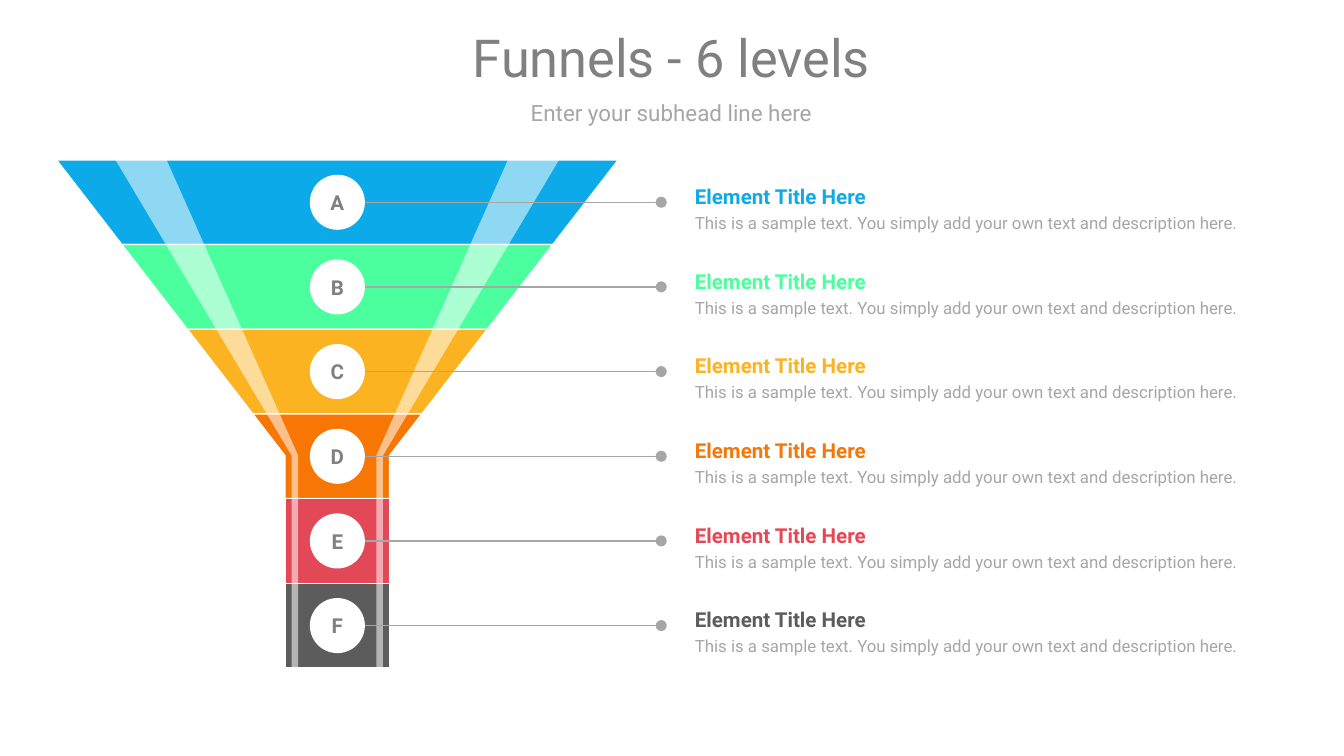
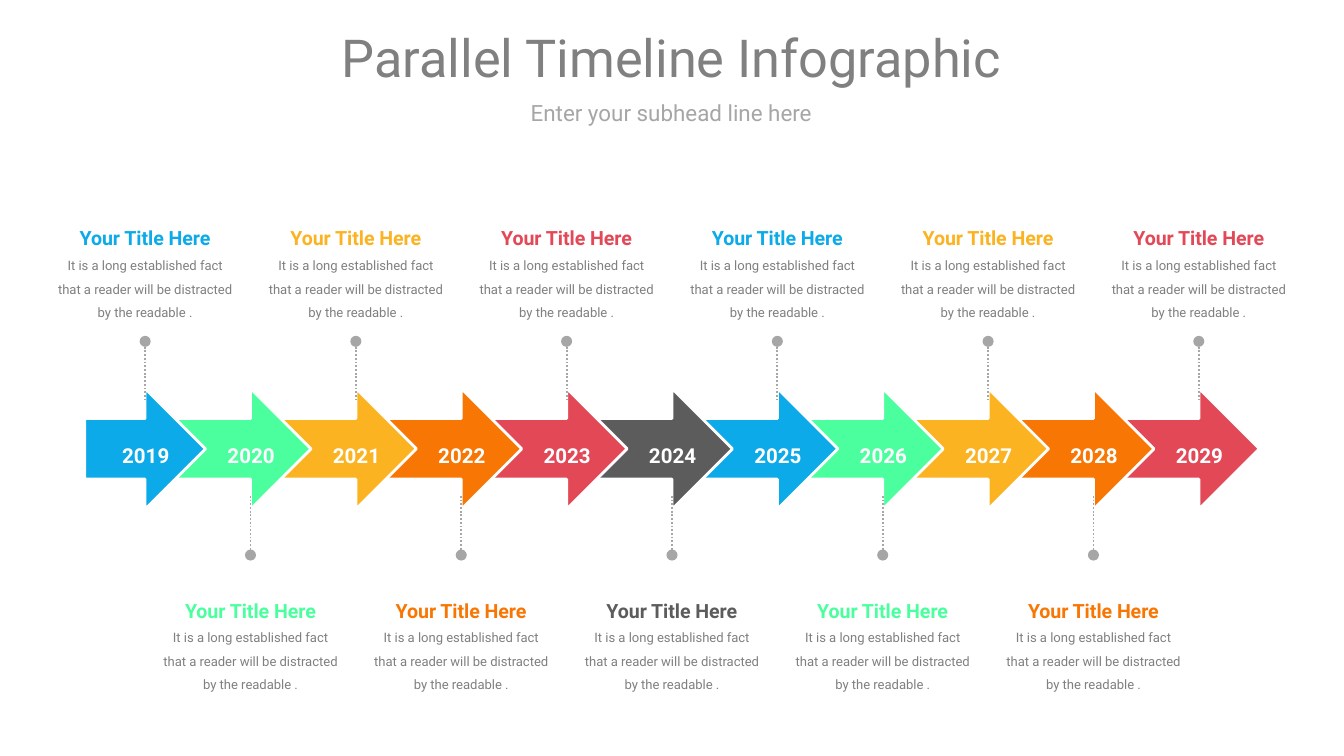
from dataclasses import dataclass
from itertools import cycle, islice
from typing import Any, Optional

from lxml.etree import SubElement
from pptx import Presentation
from pptx.dml.color import RGBColor
from pptx.enum.dml import MSO_LINE
from pptx.enum.shapes import MSO_CONNECTOR as CONN, MSO_SHAPE as SHAPE
from pptx.enum.text import MSO_ANCHOR as ANCHOR, MSO_AUTO_SIZE as FIT, PP_ALIGN as ALIGN
from pptx.oxml.ns import qn
from pptx.util import Inches, Pt

PALETTE = ["0CAAE9", "4BFF9E", "FBB321", "F87604", "E34857", "5C5C5C"]
WHITE, GRAY, LIGHT = "FFFFFF", "808080", "A6A6A6"
FONT = "Roboto"
SLIDE_W = Inches(10)
SLIDE_H = SLIDE_W * 9 // 16

FUNNEL_X, FUNNEL_TOP, NECK_Y, LEVEL_H = 2.51, 1.19, 3.39, 0.63
MOUTH_HALF, NECK_HALF = 2.09, 0.39
CIRCLE, DOT_X = 0.41, 4.92

FIRST_X, LAST_X, FIRST_YEAR, YEARS = 1.08, 8.92, 2019, 11
PITCH = (LAST_X - FIRST_X) / (YEARS - 1)


@dataclass(frozen=True)
class Line:
    """One paragraph with its format."""
    text: str
    size: float
    color: str
    bold: bool = False
    spacing: float = 1.0
    align: Any = ALIGN.CENTER


@dataclass(frozen=True)
class Box:
    """A rectangle in inches."""
    x: float
    y: float
    w: float
    h: float

    def emu(self) -> list[int]:
        """Return left, top, width and height as lengths."""
        return [Inches(v) for v in (self.x, self.y, self.w, self.h)]


@dataclass(frozen=True)
class Branch:
    """Vertical places of the callouts on one side of the timeline."""
    start_y: float
    dot_y: float
    text_y: float


ABOVE = Branch(2.98, 2.54, 1.59)
BELOW = Branch(3.69, 4.13, 4.36)


def rgb(color: str) -> RGBColor:
    """Turn a hex string into a colour."""
    return RGBColor.from_string(color)


def apply(target: Any, values: dict[str, Any]) -> None:
    """Set each named attribute on the target."""
    for name, value in values.items():
        setattr(target, name, value)


def write(sp: Any, lines: list[Line], fit: Any = FIT.NONE) -> None:
    """Fill a shape with formatted paragraphs."""
    tf = sp.text_frame
    apply(tf, dict(word_wrap=True, auto_size=fit, vertical_anchor=ANCHOR.MIDDLE,
                   margin_left=0, margin_top=0, margin_right=0, margin_bottom=0))
    for i, line in enumerate(lines):
        p = tf.add_paragraph() if i else tf.paragraphs[0]
        apply(p, dict(alignment=line.align, line_spacing=line.spacing))
        r = p.add_run()
        r.text = line.text
        apply(r.font, dict(name=FONT, size=Pt(line.size), bold=line.bold))
        r.font.color.rgb = rgb(line.color)


def add_text(s: Any, box: Box, lines: list[Line], fit: Any = FIT.SHAPE_TO_FIT_TEXT) -> None:
    """Add a text box."""
    write(s.shapes.add_textbox(*box.emu()), lines, fit)


def paint(sp: Any, fill: str, outline: float = 0) -> None:
    """Give a shape a flat fill and, when asked, a white outline in points."""
    sp.shadow.inherit = False
    sp.fill.solid()
    sp.fill.fore_color.rgb = rgb(fill)
    if outline:
        sp.line.color.rgb = rgb(WHITE)
        sp.line.width = Pt(outline)
    else:
        sp.line.fill.background()


def add_outline(s: Any, points: list[tuple[float, float]], fill: str, outline: float = 0) -> Any:
    """Add a closed polygon through points in inches."""
    first, *rest = [(Inches(x), Inches(y)) for x, y in points]
    fb = s.shapes.build_freeform(*first)
    fb.add_line_segments(rest, close=True)
    sp = fb.convert_to_shape()
    paint(sp, fill, outline)
    return sp


def add_lead(s: Any, start: tuple[float, float], end: tuple[float, float], width: float,
             dot: str, dash: Optional[Any] = None) -> None:
    """Add a leader line with an oval at its headEnd or tailEnd."""
    c = s.shapes.add_connector(CONN.STRAIGHT, *[Inches(v) for v in (*start, *end)])
    c.line.color.rgb = rgb(LIGHT)
    apply(c.line, dict(width=Pt(width), dash_style=dash))
    SubElement(c.line._get_or_add_ln(), qn(f"a:{dot}"), type="oval")
    SubElement(c._element.spPr, qn("a:effectLst"))


def add_slide(prs: Any, title: str) -> Any:
    """Add a blank slide with the shared heading."""
    s = prs.slides.add_slide(prs.slide_layouts[6])
    add_text(s, Box(0.42, 0.74, 9.15, 0.19),
             [Line("Enter your subhead line here", 12, LIGHT)], FIT.NONE)
    add_text(s, Box(0.42, 0.15, 9.15, 0.54), [Line(title, 28, GRAY)], FIT.NONE)
    return s


def half_width(y: float) -> float:
    """Return half the funnel width at a height."""
    share = max(0, (NECK_Y - y) / (NECK_Y - FUNNEL_TOP))
    return NECK_HALF + (MOUTH_HALF - NECK_HALF) * share


def add_level(s: Any, top: float, color: str) -> None:
    """Add one band of the funnel."""
    bottom = top + LEVEL_H
    ys = [top, NECK_Y, bottom] if top < NECK_Y < bottom else [top, bottom]
    right = [(FUNNEL_X + half_width(y), y) for y in ys]
    left = [(FUNNEL_X - half_width(y), y) for y in reversed(ys)]
    add_outline(s, right + left, color, 0.75)


def add_gloss(s: Any, side: int) -> None:
    """Add a translucent streak on the left (-1) or right (1) of the funnel."""
    base = FUNNEL_TOP + len(PALETTE) * LEVEL_H
    offsets = [(1.27, FUNNEL_TOP), (1.65, FUNNEL_TOP), (0.34, NECK_Y),
               (0.34, base), (0.29, base), (0.29, NECK_Y)]
    sp = add_outline(s, [(FUNNEL_X + side * dx, y) for dx, y in offsets], WHITE)
    color = sp._element.spPr.find(f"{qn('a:solidFill')}/{qn('a:srgbClr')}")
    SubElement(color, qn("a:alpha"), val="54000")


def funnel_slide(prs: Any) -> None:
    """Build the six-level funnel."""
    s = add_slide(prs, "Funnels - 6 levels")
    tops = [FUNNEL_TOP + i * LEVEL_H for i in range(len(PALETTE))]
    for top, color in zip(tops, PALETTE):
        add_level(s, top, color)
    for side in (1, -1):
        add_gloss(s, side)
    for top, color, letter in zip(tops, PALETTE, "ABCDEF"):
        mid = top + LEVEL_H / 2
        circle = Box(FUNNEL_X - CIRCLE / 2, mid - CIRCLE / 2, CIRCLE, CIRCLE)
        sp = s.shapes.add_shape(SHAPE.OVAL, *circle.emu())
        paint(sp, WHITE)
        write(sp, [Line(letter, 11, GRAY, True)])
        add_text(s, Box(5.17, mid - 0.23, 4.41, 0.46), [
            Line("Element Title Here", 11, color, True, 1.5, ALIGN.LEFT),
            Line("This is a sample text. You simply add your own text and description here.",
                 9, LIGHT, False, 1.2, ALIGN.LEFT)])
        add_lead(s, (DOT_X, mid), (circle.x + CIRCLE, mid), 0.75, "headEnd")


def timeline_slide(prs: Any) -> None:
    """Build the arrow timeline with callouts above and below."""
    s = add_slide(prs, "Parallel Timeline Infographic")
    stops = [(FIRST_X + i * PITCH, i, color)
             for i, color in enumerate(islice(cycle(PALETTE), YEARS))]
    for x, i, color in reversed(stops):
        tail = 0.67 if i else 0.45
        arrow = Box(x - tail, 2.89, tail + 0.45, 0.9)
        paint(s.shapes.add_shape(SHAPE.RIGHT_ARROW, *arrow.emu()), color, 1.5)
    for x, i, color in stops:
        branch = BELOW if i % 2 else ABOVE
        add_lead(s, (x, branch.start_y), (x, branch.dot_y), 1, "tailEnd", MSO_LINE.ROUND_DOT)
        add_text(s, Box(x - 0.67, branch.text_y, 1.34, 0.8), [
            Line("Your Title Here", 10.5, color, True, 1.5),
            Line("It is a long established fact that a reader will be distracted by the readable .",
                 7, GRAY, False, 1.5)])
        add_text(s, Box(x - 0.33, 3.2, 0.67, 0.28),
                 [Line(str(FIRST_YEAR + i), 11, WHITE, True, 1.5)])


def main() -> None:
    """Build and save the presentation."""
    prs = Presentation()
    apply(prs, dict(slide_width=SLIDE_W, slide_height=SLIDE_H))
    funnel_slide(prs)
    timeline_slide(prs)
    prs.save("out.pptx")


if __name__ == "__main__":
    main()
